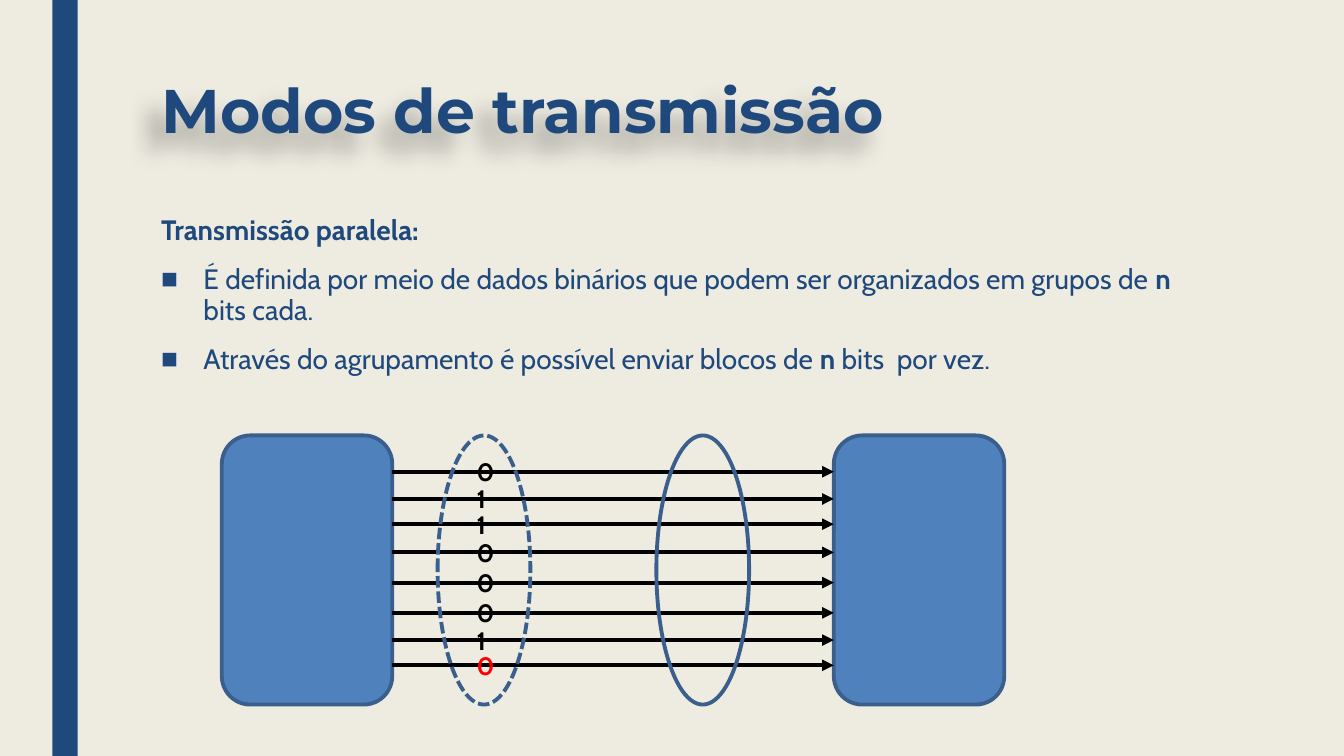
from pptx import Presentation
from pptx.dml.color import RGBColor
from pptx.enum.dml import MSO_LINE
from pptx.enum.shapes import MSO_CONNECTOR, MSO_SHAPE
from pptx.enum.text import MSO_ANCHOR, MSO_AUTO_SIZE, PP_ALIGN
from pptx.oxml import parse_xml
from pptx.oxml.ns import nsdecls
from pptx.util import Inches, Pt

CREAM = RGBColor(0xEE, 0xEC, 0xE1)
NAVY = RGBColor(0x1F, 0x49, 0x7D)
BLUE = RGBColor(0x4F, 0x81, 0xBD)
OUTLINE = RGBColor(0x3A, 0x5F, 0x8C)
BLACK = RGBColor(0, 0, 0)
RED = RGBColor(0xFF, 0, 0)
A_NS = nsdecls("a")

LINE_WIDTH = Pt(2.75)
MARGIN, TEXT_WIDTH = 1.5, 10.5
DIAGRAM_TOP, DIAGRAM_HEIGHT = 4.32, 2.67
SENDER_X, RECEIVER_X, DEVICE_WIDTH = 2.2, 8.27, 1.69
WIRES = [(4.68, "0"), (4.95, "1"), (5.2, "1"), (5.48, "0"),
         (5.78, "0"), (6.08, "0"), (6.35, "1"), (6.6, "0")]


def add_shape(kind, left, top, width, height, fill=None, line=None):
    sp = slide.shapes.add_shape(kind, Inches(left), Inches(top),
                                Inches(width), Inches(height))
    sp.shadow.inherit = False
    if fill is None:
        sp.fill.background()
    else:
        sp.fill.solid()
        sp.fill.fore_color.rgb = fill
    if line is None:
        sp.line.fill.background()
    else:
        sp.line.color.rgb = line
        sp.line.width = LINE_WIDTH
    return sp


def style_run(r, name, size, color, bold):
    r.font.name = name
    r.font.size = Pt(size)
    r.font.color.rgb = color
    r.font.bold = bold


prs = Presentation()
prs.slide_width, prs.slide_height = Inches(13.33), Inches(7.5)
slide = prs.slides.add_slide(prs.slide_layouts[5])
slide.background.fill.solid()
slide.background.fill.fore_color.rgb = CREAM

add_shape(MSO_SHAPE.RECTANGLE, 0.52, 0, 0.25, 7.5, fill=NAVY)

# Title with a soft shadow falling to the lower left
title = slide.shapes.title
title.left, title.top = Inches(MARGIN), Inches(0.75)
title.width, title.height = Inches(TEXT_WIDTH), Inches(1.62)
tf = title.text_frame
tf.text = "Modos de transmissão"
tf.auto_size = MSO_AUTO_SIZE.NONE
tf.vertical_anchor = MSO_ANCHOR.TOP
p = tf.paragraphs[0]
p.alignment = PP_ALIGN.LEFT
p.line_spacing = 0.89
style_run(p.runs[0], "Montserrat", 44, NAVY, True)
title.element.spPr.append(parse_xml(
    f'<a:effectLst {A_NS}><a:outerShdw blurRad="190500" dist="228600" '
    'dir="8100000" algn="ctr" rotWithShape="0"><a:srgbClr val="000000">'
    '<a:alpha val="30000"/></a:srgbClr></a:outerShdw></a:effectLst>'))

# Definition: each paragraph is a list of (text, bold) runs
paragraphs = [
    [("Transmissão paralela:", True)],
    [("É definida por meio de dados binários que podem ser organizados em grupos de ", False),
     ("n", True), (" bits cada.", False)],
    [("Através do agrupamento é possível enviar blocos de ", False),
     ("n", True), (" bits  por vez.", False)],
]
body = slide.shapes.add_textbox(Inches(MARGIN), Inches(2.09),
                                Inches(TEXT_WIDTH), Inches(1.81))
tf = body.text_frame
tf.word_wrap = True
for i, runs in enumerate(paragraphs):
    p = tf.add_paragraph() if i else tf.paragraphs[0]
    p.line_spacing = 0.94
    p.space_before, p.space_after = Pt(10), Pt(2)
    for text, bold in runs:
        r = p.add_run()
        r.text = text
        style_run(r, "Cabin", 20, NAVY, bold)
    if i:
        pPr = p._p.get_or_add_pPr()
        pPr.set("marL", str(Inches(0.42)))
        pPr.set("indent", str(-Inches(0.42)))
        pPr.append(parse_xml(f'<a:buFont {A_NS} typeface="Arial"/>'))
        pPr.append(parse_xml(f'<a:buChar {A_NS} char="■"/>'))

# Sender and receiver joined by parallel wires
for x in (SENDER_X, RECEIVER_X):
    add_shape(MSO_SHAPE.ROUNDED_RECTANGLE, x, DIAGRAM_TOP, DEVICE_WIDTH,
              DIAGRAM_HEIGHT, fill=BLUE, line=OUTLINE)

for y, bit in WIRES:
    wire = slide.shapes.add_connector(
        MSO_CONNECTOR.STRAIGHT, Inches(SENDER_X + DEVICE_WIDTH), Inches(y),
        Inches(RECEIVER_X), Inches(y))
    wire.line.color.rgb = BLACK
    wire.line.width = LINE_WIDTH
    wire.line._get_or_add_ln().append(
        parse_xml(f'<a:tailEnd {A_NS} type="triangle"/>'))
    wire._element.spPr.append(parse_xml(f'<a:effectLst {A_NS}/>'))

for x, dash in ((4.34, MSO_LINE.SQUARE_DOT), (6.51, None)):
    ring = add_shape(MSO_SHAPE.OVAL, x, DIAGRAM_TOP, 0.92, DIAGRAM_HEIGHT,
                     line=OUTLINE)
    if dash:
        ring.line.dash_style = dash

for i, (y, bit) in enumerate(WIRES, 1):
    label = slide.shapes.add_textbox(Inches(4.63), Inches(y - 0.2),
                                     Inches(0.35), Inches(0.4))
    tf = label.text_frame
    tf.text = bit
    tf.word_wrap = False
    tf.auto_size = MSO_AUTO_SIZE.SHAPE_TO_FIT_TEXT
    style_run(tf.paragraphs[0].runs[0], "Cabin", 18,
              RED if i == len(WIRES) else BLACK, True)

prs.save("out.pptx")
